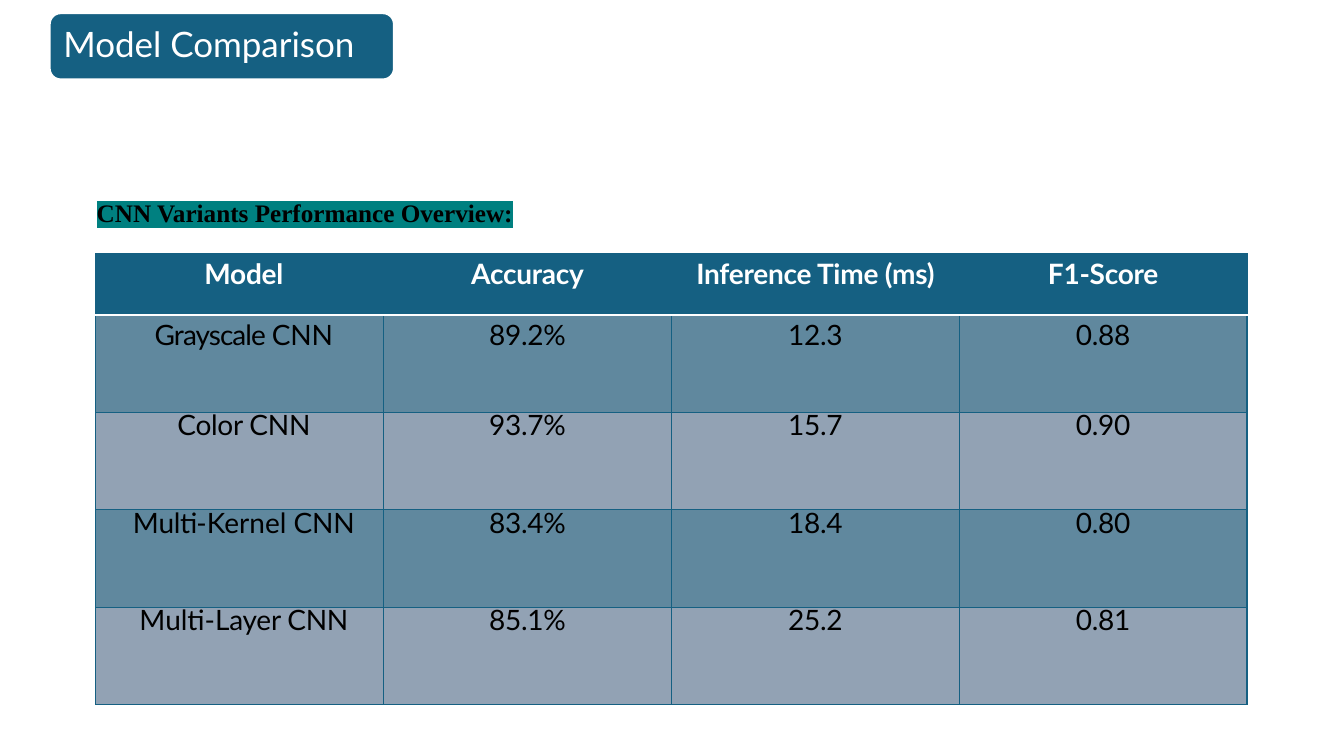
from lxml.etree import SubElement
from pptx import Presentation
from pptx.dml.color import RGBColor
from pptx.enum.shapes import MSO_SHAPE
from pptx.enum.text import MSO_ANCHOR, MSO_AUTO_SIZE, PP_ALIGN
from pptx.oxml.ns import qn
from pptx.util import Pt

TITLE = "Model Comparison"
HEADING = "CNN Variants Performance Overview:"
HEADERS = ("Model", "Accuracy", "Inference Time (ms)", "F1-Score")
RESULTS = [
    ((("Grayscale ", -0.7), ("CNN", -0.2)), "89.2%", "12.3", "0.88"),
    ("Color CNN", "93.7%", "15.7", "0.90"),
    ((("Multi-", -0.2), ("Kernel ", 0), ("CNN", -0.2)), "83.4%", "18.4", "0.80"),
    ((("Multi-", 0), ("Layer CNN", -0.2)), "85.1%", "25.2", "0.81"),
]
COLORS = {
    "blue": "156082",
    "white": "FFFFFF",
    "black": "000000",
    "teal": "008080",
    "dark_band": "60889E",
    "light_band": "92A2B4",
}
TABLE_LEFT, TABLE_TOP, TABLE_WIDTH = 68.4, 181.4, 822.4
HEADER_HEIGHT, RESULT_HEIGHT = 43.4, 69.7
TIGHT_LINE = 10.5


def color(name):
    return RGBColor.from_string(COLORS[name])


def write(frame, text, size=20, font="Lato", ink="black", bold=False, spacing=0,
          align=PP_ALIGN.CENTER, line=None, highlight=None):
    paragraph = frame.paragraphs[0]
    paragraph.alignment = align
    if line:
        paragraph.line_spacing = line
    pieces = ((text, spacing),) if isinstance(text, str) else text
    for piece, gap in pieces:
        run = paragraph.add_run()
        run.text = piece
        run.font.size = Pt(size)
        run.font.bold = bold
        run.font.color.rgb = color(ink)
        properties = run.font._element
        if gap:
            properties.set("spc", str(round(gap * 100)))
        if highlight:
            mark = SubElement(properties, qn("a:highlight"))
            SubElement(mark, qn("a:srgbClr"), val=COLORS[highlight])
        run.font.name = font


def set_margins(target, left, top, right, bottom):
    target.margin_left, target.margin_top = Pt(left), Pt(top)
    target.margin_right, target.margin_bottom = Pt(right), Pt(bottom)


def add_borders(cell, white_side):
    properties = cell._tc.get_or_add_tcPr()
    for side in "LRTB":
        white = side == white_side
        border = SubElement(properties, qn(f"a:ln{side}"), w=str(Pt(1.5 if white else 1)))
        fill = SubElement(border, qn("a:solidFill"))
        SubElement(fill, qn("a:srgbClr"), val=COLORS["white" if white else "blue"])


def add_title(slide):
    title = slide.shapes.title
    pill = slide.shapes.add_shape(
        MSO_SHAPE.ROUNDED_RECTANGLE, Pt(35.5), Pt(9.4), Pt(246), Pt(47.4))
    pill.shadow.inherit = False
    pill.fill.solid()
    pill.fill.fore_color.rgb = color("blue")
    pill.line.color.rgb = color("white")
    pill.line.width = Pt(1.5)
    title._element.addprevious(pill._element)

    title.left, title.top, title.width, title.height = Pt(37.8), Pt(11.6), Pt(242), Pt(43)
    frame = title.text_frame
    frame.word_wrap = True
    frame.auto_size = MSO_AUTO_SIZE.NONE
    frame.vertical_anchor = MSO_ANCHOR.MIDDLE
    set_margins(frame, 7.5, 7.5, 7.5, 7.5)
    write(frame, TITLE, size=25, ink="white", align=PP_ALIGN.LEFT, line=0.9)


def add_heading(slide):
    box = slide.shapes.add_textbox(Pt(58.6), Pt(137.7), Pt(318.4), Pt(29))
    box.text_frame.word_wrap = False
    write(box.text_frame, HEADING, size=18, font="Times New Roman", bold=True,
          highlight="teal")


def add_results(slide):
    rows = [HEADERS, *RESULTS]
    height = HEADER_HEIGHT + RESULT_HEIGHT * len(RESULTS)
    table = slide.shapes.add_table(
        len(rows), len(HEADERS), Pt(TABLE_LEFT), Pt(TABLE_TOP),
        Pt(TABLE_WIDTH), Pt(height)).table
    for column in table.columns:
        column.width = Pt(TABLE_WIDTH / len(HEADERS))
    for row_index, values in enumerate(rows):
        header, tight = row_index == 0, row_index > 1
        table.rows[row_index].height = Pt(HEADER_HEIGHT if header else RESULT_HEIGHT)
        band = "blue" if header else "dark_band" if row_index % 2 else "light_band"
        for column_index, value in enumerate(values):
            cell = table.cell(row_index, column_index)
            set_margins(cell, 0 if column_index else 6, TIGHT_LINE if tight else 2.2, 0, 0)
            add_borders(cell, {0: "B", 1: "T"}.get(row_index))
            cell.fill.solid()
            cell.fill.fore_color.rgb = color(band)
            write(cell.text_frame, value, ink="white" if header else "black", bold=header,
                  spacing=-0.2, line=Pt(TIGHT_LINE) if tight else None)


def main():
    presentation = Presentation()
    presentation.slide_width, presentation.slide_height = Pt(960), Pt(540)
    slide = presentation.slides.add_slide(presentation.slide_layouts[5])
    add_title(slide)
    add_results(slide)
    add_heading(slide)
    presentation.save("out.pptx")


if __name__ == "__main__":
    main()
